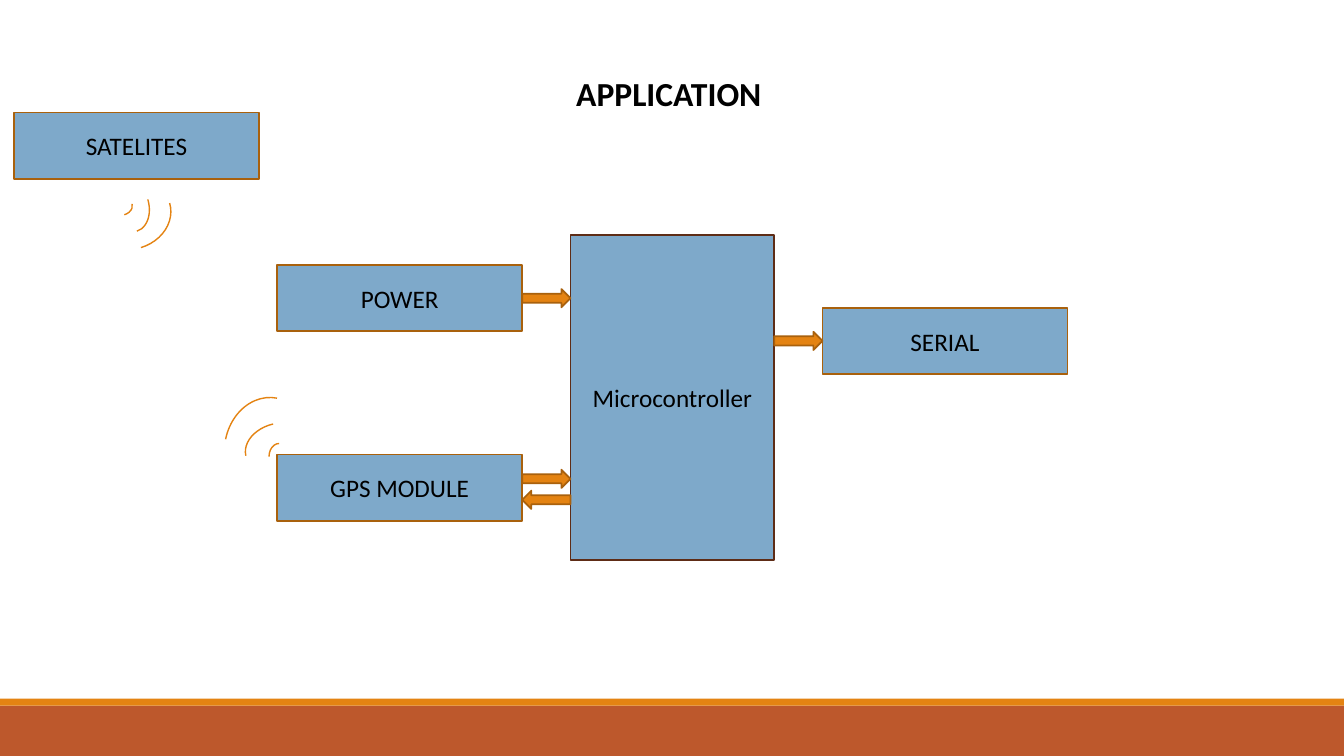
"""Build the block diagram of a GPS tracking application."""
from pptx import Presentation
from pptx.dml.color import RGBColor
from pptx.enum.shapes import MSO_SHAPE
from pptx.enum.text import MSO_ANCHOR, MSO_AUTO_SIZE, PP_ALIGN
from pptx.util import Pt

COLORS = {"box": "7EA9CA", "edge": "A9610D", "core": "5E2C16", "text": "000000",
          "accent": "E48312", "band": "BD582C"}
WIDE, HIGH = 960, 540
BOX_W, BOX_H = 175, 47.5
CORE_W, CORE_H = 145.5, 232.5
GAP, HEAD = 34.5, 13
LEFT = 198
CORE = LEFT + BOX_W + GAP
RIGHT = CORE + CORE_W + GAP

TITLE = "APPLICATION"
BLOCKS = [
    ("Microcontroller", CORE, 167.8, CORE_W, CORE_H, "core"),
    ("GPS MODULE", LEFT, 324.6, BOX_W, BOX_H, "edge"),
    ("POWER", LEFT, 189.2, BOX_W, BOX_H, "edge"),
    ("SERIAL", RIGHT, 219.8, BOX_W, BOX_H, "edge"),
    ("SATELITES", 10, 80.4, BOX_W, BOX_H, "edge"),
]
ARROWS = [
    (LEFT + BOX_W, 213, 0),
    (LEFT + BOX_W, 342, 0),
    (LEFT + BOX_W, 357, 180),
    (CORE + CORE_W, 243.5, 0),
]
WAVES = [
    (72.7, 132.5, 38.9, 28.1, 73.2, False),
    (69.1, 124.6, 49, 57.6, 73.2, False),
    (81.4, 140.4, 11.5, 15.1, 73.2, False),
    (175, 302.4, 48.2, 35.3, 346.9, True),
    (160.6, 283.7, 60.5, 72, 11.3, True),
    (192.2, 316.8, 14.4, 18.7, 0, True),
]


def tint(name):
    return RGBColor.from_string(COLORS[name])


def write(shape, text, size=18, bold=False, anchor=MSO_ANCHOR.MIDDLE):
    frame = shape.text_frame
    frame.word_wrap = True
    frame.auto_size = MSO_AUTO_SIZE.NONE
    frame.vertical_anchor = anchor
    para = frame.paragraphs[0]
    para.alignment = PP_ALIGN.CENTER
    run = para.add_run()
    run.text = text
    run.font.name = "Calibri"
    run.font.size = Pt(size)
    run.font.bold = bold
    run.font.color.rgb = tint("text")


def draw(slide, kind, x, y, w, h, fill=None, line=None, weight=1.25, turn=0):
    shape = slide.shapes.add_shape(kind, Pt(x), Pt(y), Pt(w), Pt(h))
    shape.shadow.inherit = False
    shape.rotation = turn
    if fill:
        shape.fill.solid()
        shape.fill.fore_color.rgb = tint(fill)
    else:
        shape.fill.background()
    if line:
        shape.line.color.rgb = tint(line)
        shape.line.width = Pt(weight)
    else:
        shape.line.fill.background()
    return shape


def main():
    deck = Presentation()
    deck.slide_width, deck.slide_height = Pt(WIDE), Pt(HIGH)
    slide = deck.slides.add_slide(deck.slide_layouts[5])
    title = slide.shapes.title
    title.left, title.top, title.width, title.height = Pt(126), Pt(48.2), Pt(703.5), Pt(36)
    write(title, TITLE, size=24, bold=True, anchor=MSO_ANCHOR.TOP)

    draw(slide, MSO_SHAPE.RECTANGLE, 0, 504, WIDE, 36, fill="band")
    draw(slide, MSO_SHAPE.RECTANGLE, 0, 499, WIDE, 5, fill="accent")
    for text, x, y, w, h, line in BLOCKS:
        write(draw(slide, MSO_SHAPE.RECTANGLE, x, y, w, h, fill="box", line=line), text)
    for x, mid, turn in ARROWS:
        draw(slide, MSO_SHAPE.RIGHT_ARROW, x, mid - HEAD / 2, GAP, HEAD,
             fill="accent", line="edge", turn=turn)
    for x, y, w, h, turn, flip in WAVES:
        wave = draw(slide, MSO_SHAPE.ARC, x, y, w, h, line="accent", weight=1, turn=turn)
        if flip:
            wave._element.spPr.get_or_add_xfrm().set("flipH", "1")
    deck.save("out.pptx")


if __name__ == "__main__":
    main()
